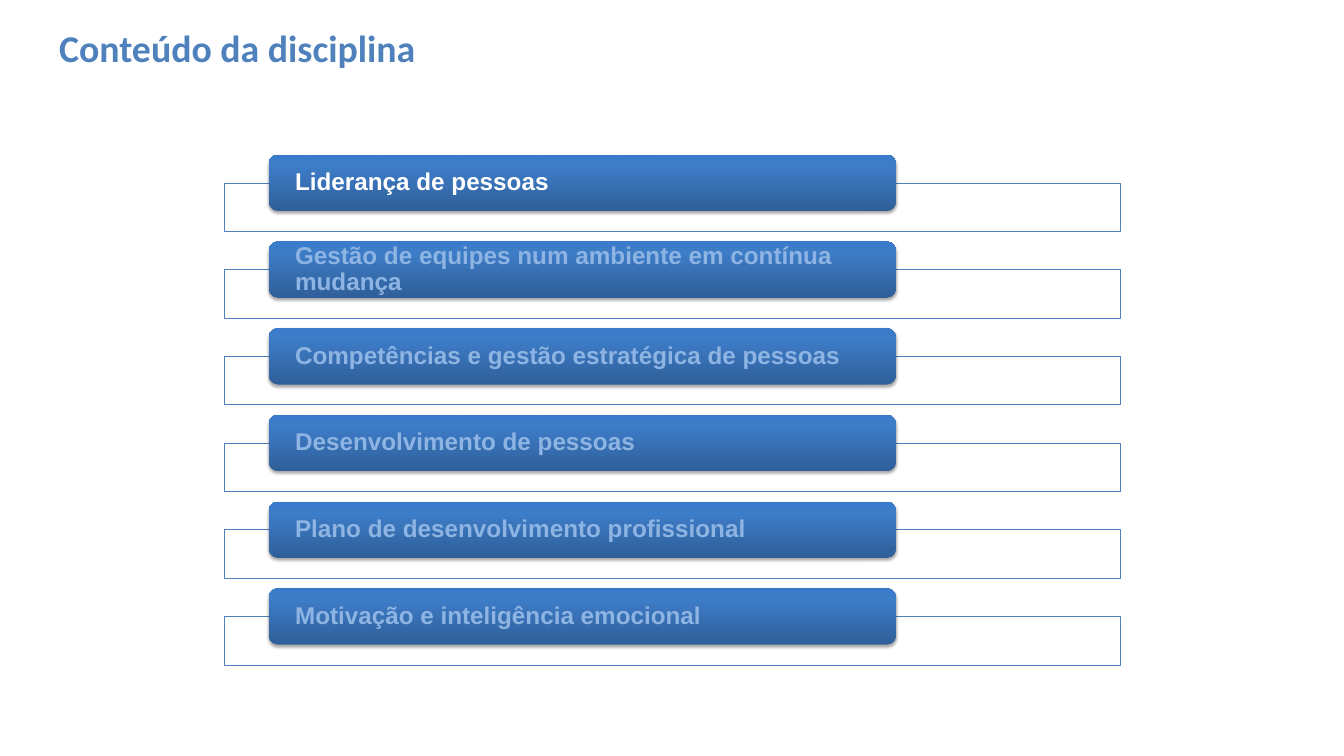
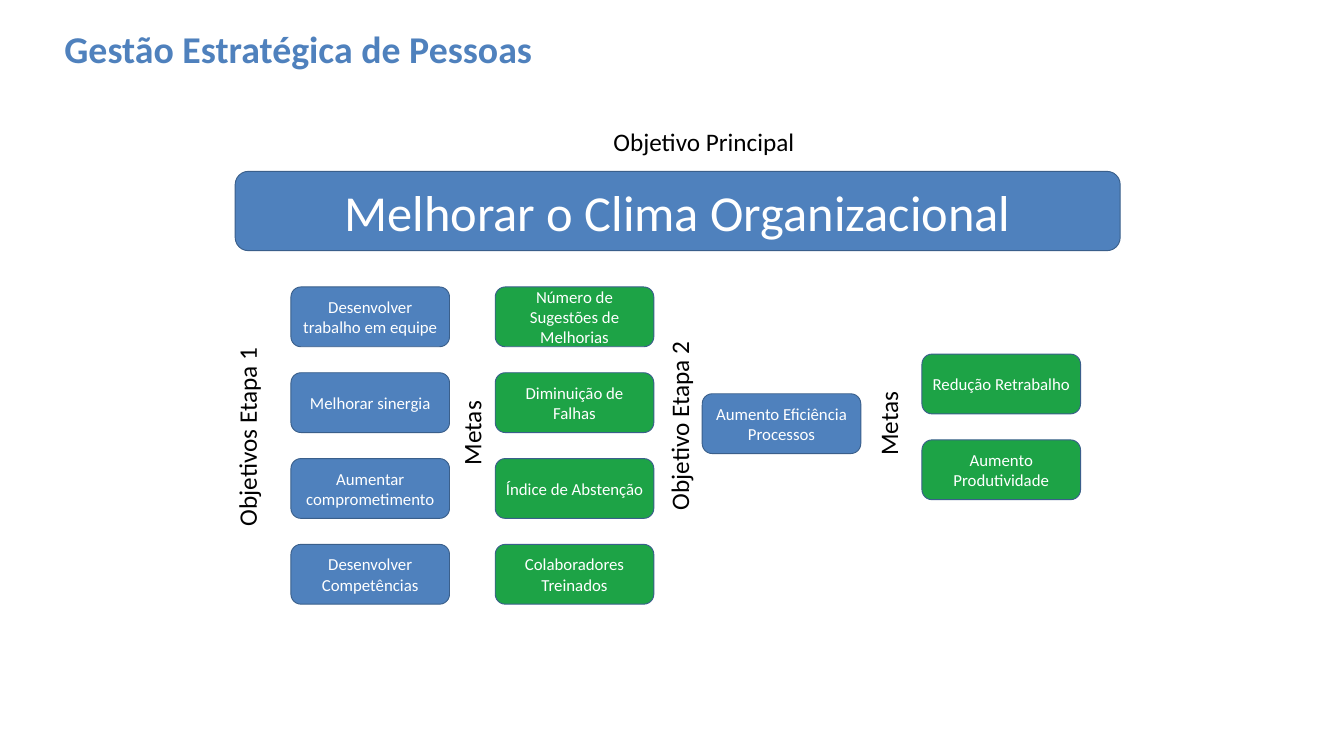
import pptx
import pptx.dml.color
import pptx.enum.shapes
import pptx.enum.text
import pptx.oxml
import pptx.oxml.ns
import pptx.util

RGB = pptx.dml.color.RGBColor
SHAPE = pptx.enum.shapes.MSO_SHAPE
ALIGN = pptx.enum.text.PP_ALIGN
ANCHOR = pptx.enum.text.MSO_ANCHOR
FIT = pptx.enum.text.MSO_AUTO_SIZE

WIDTH = pptx.util.Inches(20)
HEIGHT = pptx.util.Inches(11.25)

BLUE = RGB(0x4F, 0x81, 0xBD)
NAVY = RGB(0x3A, 0x5F, 0x8B)
GREEN = RGB(0x1D, 0xA3, 0x46)
PALE = RGB(0x8E, 0xB4, 0xE3)
WHITE = RGB(0xFF, 0xFF, 0xFF)
BLACK = RGB(0, 0, 0)
DARK = RGB(0x2F, 0x5F, 0x99)
MID = RGB(0x3D, 0x7C, 0xC7)
LIGHT = RGB(0x3A, 0x7C, 0xCB)

# Text formats
TITLE = {"name": "Calibri", "size": pptx.util.Pt(40.5), "bold": True}
TOPIC = {"name": "Arial", "size": pptx.util.Pt(26), "bold": True}
GOAL = {"name": "Calibri", "size": pptx.util.Pt(18)}
MAIN = {"name": "Calibri", "size": pptx.util.Pt(54)}
LABEL = {"name": "Calibri", "size": pptx.util.Pt(27)}

# Goal boxes, in percent of the slide
BOX_W, BOX_H, BOX_STEP = 11.8, 7.91, 11.35
LABEL_H = 4.89

TOPICS = [
    "Liderança de pessoas",
    "Gestão de equipes num ambiente em contínua mudança",
    "Competências e gestão estratégica de pessoas",
    "Desenvolvimento de pessoas",
    "Plano de desenvolvimento profissional",
    "Motivação e inteligência emocional",
]

# Left, top, colour and wording of each column of goals
GOALS = [
    (21.65, 37.96, BLUE, ["Desenvolver trabalho em equipe", "Melhorar sinergia",
                          "Aumentar comprometimento", "Desenvolver Competências"]),
    (36.85, 37.96, GREEN, ["Número de Sugestões de Melhorias", "Diminuição de Falhas",
                           "Índice de Abstenção", "Colaboradores Treinados"]),
    (52.25, 52.09, BLUE, ["Aumento Eficiência Processos"]),
    (68.6, 46.84, GREEN, ["Redução Retrabalho", "Aumento Produtividade"]),
]

# Left, top, width, turn and wording of each label
LABELS = [
    (11.05, 55.02, 14.65, 270, "Objetivos Etapa 1"),
    (32.2, 54.84, 5.75, 270, "Metas"),
    (43.75, 53.87, 13.55, 270, "Objetivo Etapa 2"),
    (63.2, 53.6, 5.75, 270, "Metas"),
    (45.15, 16.22, 14.45, 0, "Objetivo Principal"),
]


def place(left, top, width, height):
    """Turn percents of the slide into lengths."""
    return (int(WIDTH * left / 100), int(HEIGHT * top / 100),
            int(WIDTH * width / 100), int(HEIGHT * height / 100))


def make_xml(tag, inner):
    space = pptx.oxml.ns.nsdecls("a")
    return pptx.oxml.parse_xml(f"<a:{tag} {space}>{inner}</a:{tag}>")


def write(shape, text, style, color, align=ALIGN.LEFT):
    frame = shape.text_frame
    frame.word_wrap = True
    frame.vertical_anchor = ANCHOR.MIDDLE
    line = frame.paragraphs[0]
    line.alignment = align
    run = line.add_run()
    run.text = text
    for key, value in style.items():
        setattr(run.font, key, value)
    run.font.color.rgb = color
    return frame


def add_box(slide, kind, area, fill, edge, weight):
    box = slide.shapes.add_shape(kind, *place(*area))
    box.shadow.inherit = False
    box.fill.solid()
    box.fill.fore_color.rgb = fill
    box.line.color.rgb = edge
    box.line.width = pptx.util.Pt(weight)
    return box


def add_title(slide, text, area):
    box = slide.shapes.add_textbox(*place(*area))
    write(box, text, TITLE, BLUE)


def add_label(slide, left, top, width, turn, text):
    box = slide.shapes.add_textbox(*place(left, top, width, LABEL_H))
    box.rotation = turn
    frame = write(box, text, LABEL, BLACK)
    frame.vertical_anchor = ANCHOR.TOP
    frame.word_wrap = False
    frame.auto_size = FIT.SHAPE_TO_FIT_TEXT


def add_goal(slide, area, fill, text, style=GOAL):
    box = add_box(slide, SHAPE.ROUNDED_RECTANGLE, area, fill, NAVY, 1)
    write(box, text, style, WHITE, ALIGN.CENTER)


def shade(shape):
    """Give a shape the upward blue gradient and a soft shadow."""
    stops = "".join(f'<a:gs pos="{at * 1000}"><a:srgbClr val="{color}"/></a:gs>'
                    for at, color in ((0, DARK), (80, MID), (100, LIGHT)))
    blur, dist = pptx.util.Pt(3.1), pptx.util.Pt(1.8)
    props = shape.element.spPr
    props.replace(props.find(pptx.oxml.ns.qn("a:solidFill")), make_xml(
        "gradFill", f'<a:gsLst>{stops}</a:gsLst><a:lin ang="16200000" scaled="0"/>'))
    props.replace(props.find(pptx.oxml.ns.qn("a:effectLst")), make_xml(
        "effectLst",
        f'<a:outerShdw blurRad="{blur}" dist="{dist}" dir="5400000" rotWithShape="0">'
        '<a:srgbClr val="000000"><a:alpha val="35000"/></a:srgbClr></a:outerShdw>'))


def add_topic(slide, row, text):
    drop = row * 11.47
    add_box(slide, SHAPE.RECTANGLE, (16.67, 24.2, 66.67, 6.4)[:1] + (24.2 + drop, 66.67, 6.4),
            WHITE, BLUE, 0.75)
    tab = add_box(slide, SHAPE.ROUNDED_RECTANGLE, (20, 20.46 + drop, 46.67, 7.47),
                  MID, MID, 0.75)
    tab.line.fill.background()
    shade(tab)
    frame = write(tab, text, TOPIC, PALE if row else WHITE)
    frame.paragraphs[0].line_spacing = 0.9
    inset = pptx.util.Inches(0.35)
    for side, size in {"left": inset, "right": inset, "top": 0, "bottom": 0}.items():
        setattr(frame, f"margin_{side}", size)


def main():
    deck = pptx.Presentation()
    deck.slide_width, deck.slide_height = WIDTH, HEIGHT
    blank = deck.slide_layouts[6]

    # Course topics
    slide = deck.slides.add_slide(blank)
    for row, text in enumerate(TOPICS):
        add_topic(slide, row, text)
    add_title(slide, "Conteúdo da disciplina", (3.9, 3.11, 68.25, 6.31))

    # Goals and targets
    slide = deck.slides.add_slide(blank)
    for left, top, fill, texts in GOALS:
        for row, text in enumerate(texts):
            add_goal(slide, (left, top + row * BOX_STEP, BOX_W, BOX_H), fill, text)
    add_title(slide, "Gestão Estratégica de Pessoas", (4.3, 3.29, 87.75, 6.31))
    add_goal(slide, (17.5, 22.67, 65.85, 10.49), BLUE, "Melhorar o Clima Organizacional", MAIN)
    for label in LABELS:
        add_label(slide, *label)

    deck.save("out.pptx")


if __name__ == "__main__":
    main()
